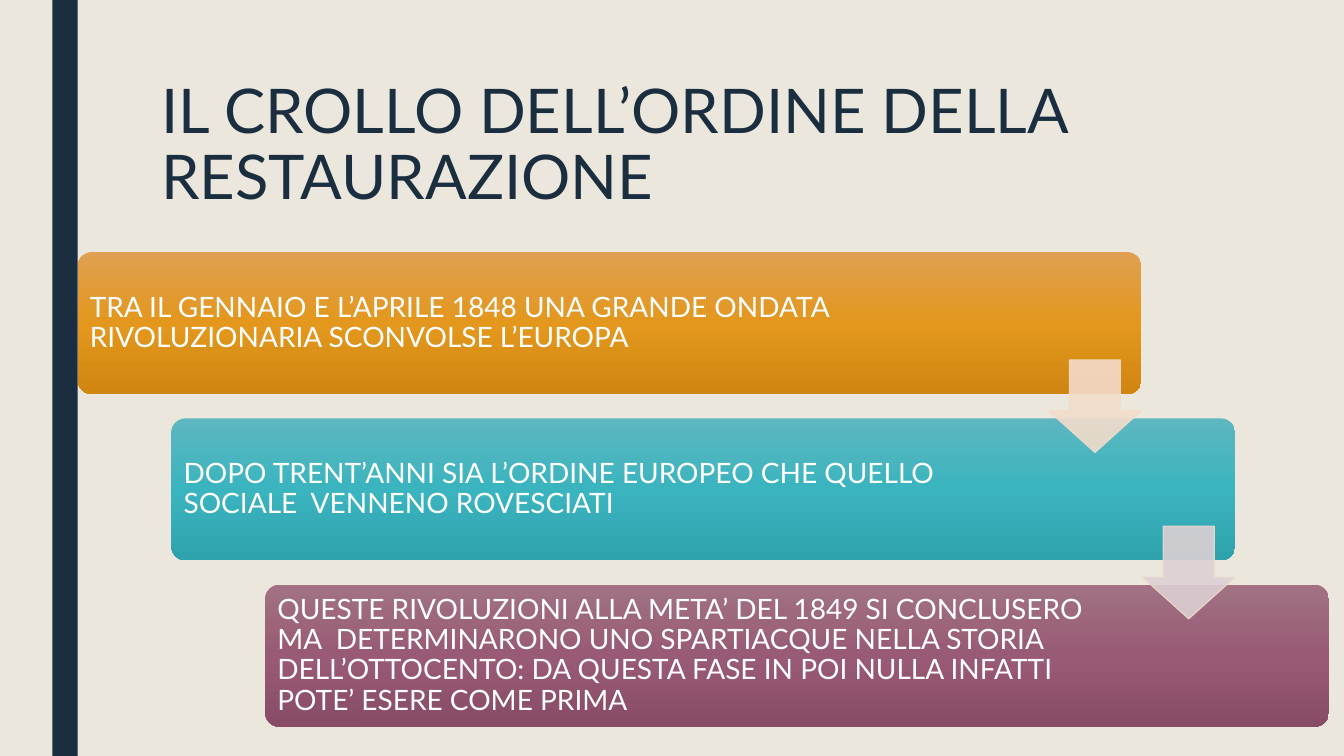
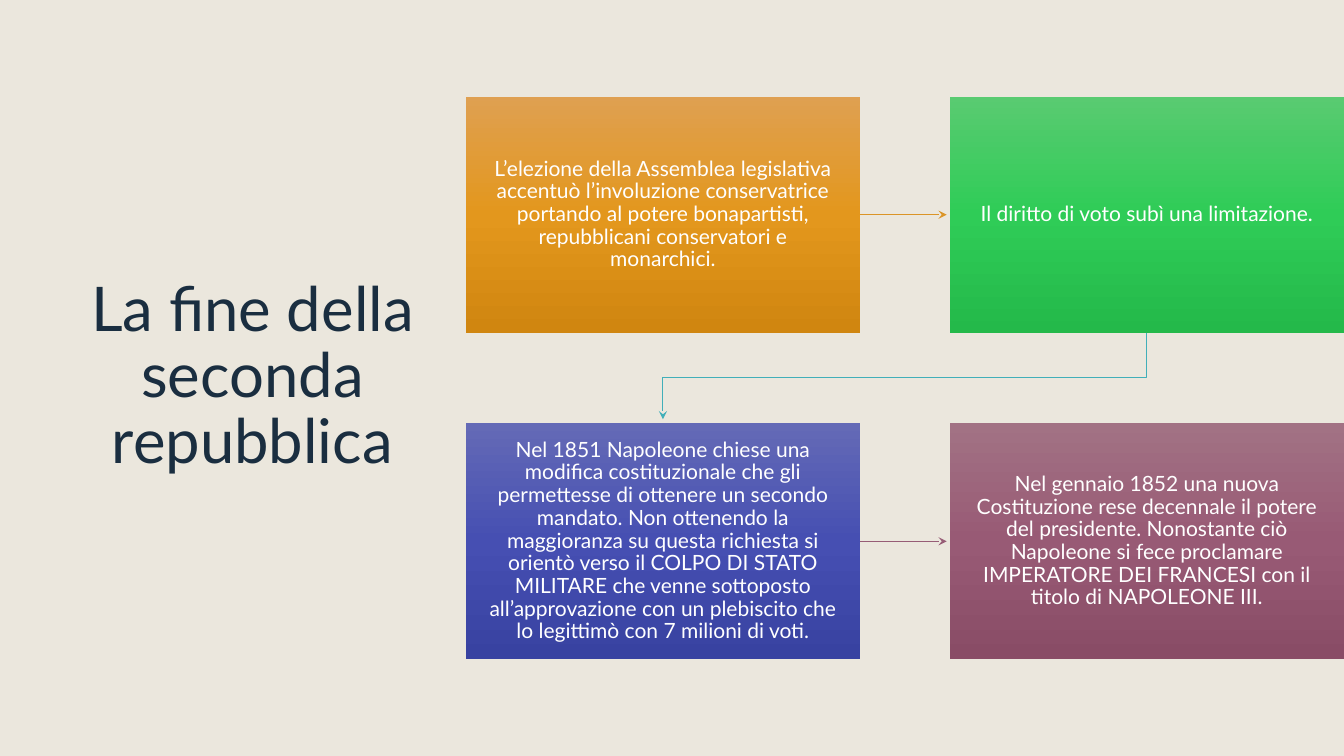
from copy import deepcopy
from lxml import etree
from pptx import Presentation
from pptx.dml.color import RGBColor
from pptx.enum import shapes, text
from pptx.oxml.ns import qn
from pptx.util import Inches, Pt

PAPER, NAVY, WHITE = "EBE7DD", "1A2E40", "FFFFFF"
ORANGE = ("DFA051", "E3971D", "D08610")
TEAL = ("5EB7C0", "3AB4BF", "2EA2AD")
PLUM = ("A27284", "985A75", "894C66")
GREEN = ("59CB71", "2FCC57", "24B94A")
INDIGO = ("646AB6", "464FB2", "3842A1")
LEFT, CENTER = text.PP_ALIGN.LEFT, text.PP_ALIGN.CENTER
TOP, MIDDLE = text.MSO_ANCHOR.TOP, text.MSO_ANCHOR.MIDDLE
ROUNDED, RECT = shapes.MSO_SHAPE.ROUNDED_RECTANGLE, shapes.MSO_SHAPE.RECTANGLE


def rgb(value):
    return RGBColor.from_string(value)


def write(sp, words, size, color, align, anchor, spacing, insets):
    tf = sp.text_frame
    tf.word_wrap = True
    tf.auto_size = text.MSO_AUTO_SIZE.NONE
    tf.vertical_anchor = anchor
    tf.margin_left, tf.margin_top, tf.margin_right, tf.margin_bottom = map(Inches, insets)
    p = tf.paragraphs[0]
    p.alignment = align
    p.line_spacing = spacing
    r = p.add_run()
    r.text = words
    r.font.name = "Lato"
    r.font.size = Pt(size)
    r.font.color.rgb = rgb(color)


prs = Presentation()
prs.slide_width, prs.slide_height = Inches(13.33), Inches(7.5)
background = prs.slide_master.background.fill
background.solid()
background.fore_color.rgb = rgb(PAPER)

titles = [
    ("IL CROLLO DELL’ORDINE DELLA RESTAURAZIONE", (1.5, 0.75, 10.5, 1.62), LEFT, TOP),
    ("La fine della seconda repubblica", (0.7, 0.7, 3.61, 6.1), CENTER, MIDDLE),
]
slides = []
for words, place, align, anchor in titles:
    s = prs.slides.add_slide(prs.slide_layouts[5])
    sp = s.shapes.title
    sp.left, sp.top, sp.width, sp.height = map(Inches, place)
    write(sp, words, 44, NAVY, align, anchor, 0.89, (0.1, 0.05, 0.1, 0.05))
    slides.append(s)
collapse, republic = slides

band = collapse.shapes.add_shape(RECT, Inches(0.52), 0, Inches(0.25), prs.slide_height)
band.shadow.inherit = False
band.fill.solid()
band.fill.fore_color.rgb = rgb(NAVY)
band.line.fill.background()

STEP_X, STEP_Y, STEP_W, STEP_H = 0.77, 2.5, 10.55, 1.41
SHIFT_X, SHIFT_Y = 0.93, 1.65
steps = [
    ("TRA IL GENNAIO E L’APRILE 1848 UNA GRANDE ONDATA RIVOLUZIONARIA SCONVOLSE L’EUROPA",
     ORANGE, 1.52),
    ("DOPO TRENT’ANNI SIA L’ORDINE EUROPEO CHE QUELLO SOCIALE  VENNENO ROVESCIATI",
     TEAL, 1.93),
    ("QUESTE RIVOLUZIONI ALLA META’ DEL 1849 SI CONCLUSERO MA  DETERMINARONO UNO "
     "SPARTIACQUE NELLA STORIA DELL’OTTOCENTO: DA QUESTA FASE IN POI NULLA INFATTI  "
     "POTE’ ESERE COME PRIMA", PLUM, 1.93),
]
CARD_X, CARD_Y, CARD_W, CARD_H = 4.62, 0.96, 3.91, 2.34
PITCH_X, PITCH_Y = 4.8, 3.24
cards = [
    ("L’elezione della Assemblea legislativa accentuò l’involuzione conservatrice portando "
     "al potere bonapartisti, repubblicani conservatori e monarchici.", ORANGE),
    ("Il diritto di voto subì una limitazione.", GREEN),
    ("Nel 1851 Napoleone chiese una modifica costituzionale che gli permettesse di ottenere "
     "un secondo mandato. Non ottenendo la maggioranza su questa richiesta si orientò verso "
     "il COLPO DI STATO MILITARE che venne sottoposto all’approvazione con un plebiscito che "
     "lo legittimò con 7 milioni di voti.", INDIGO),
    ("Nel gennaio 1852 una nuova Costituzione rese decennale il potere del presidente. "
     "Nonostante ciò Napoleone si fece proclamare IMPERATORE DEI FRANCESI con il titolo di "
     "NAPOLEONE III.", PLUM),
]

boxes = []
for i, (words, colors, right) in enumerate(steps):
    place = (STEP_X + i * SHIFT_X, STEP_Y + i * SHIFT_Y, STEP_W, STEP_H)
    boxes.append((collapse, ROUNDED, place, words, colors, 20, LEFT, (0.08, 0.08, right, 0.08)))
for i, (words, colors) in enumerate(cards):
    place = (CARD_X + i % 2 * PITCH_X, CARD_Y + i // 2 * PITCH_Y, CARD_W, CARD_H)
    boxes.append((republic, RECT, place, words, colors, 15, CENTER, (0.19, 0.2, 0.19, 0.2)))

for s, kind, place, words, colors, size, align, insets in boxes:
    sp = s.shapes.add_shape(kind, *map(Inches, place))
    sp.shadow.inherit = False
    sp.line.fill.background()
    if kind == ROUNDED:
        sp.adjustments[0] = 0.1
    sp.fill.gradient()
    sp.fill.gradient_angle = 270
    gs_list = sp._element.spPr.find(".//" + qn("a:gsLst"))
    gs_list.insert(1, deepcopy(gs_list[0]))
    for stop, color, position in zip(sp.fill.gradient_stops, colors, (0, 0.5, 1)):
        stop.color.rgb = rgb(color)
        stop.position = position
    write(sp, words, size, WHITE, align, MIDDLE, 0.9, insets)

ARROW = 0.92
for i, color in enumerate(("F2DCCB", "DCD0D4")):
    x = STEP_X + i * SHIFT_X + STEP_W - ARROW
    y = STEP_Y + i * SHIFT_Y + 1.07
    sp = collapse.shapes.add_shape(shapes.MSO_SHAPE.DOWN_ARROW, *map(Inches, (x, y, ARROW, ARROW)))
    sp.shadow.inherit = False
    sp.adjustments[0], sp.adjustments[1] = 0.55, 0.45
    sp.fill.solid()
    sp.fill.fore_color.rgb = rgb(color)
    sp.line.color.rgb = rgb("F2DCCB")
    sp.line.width = Pt(0.75)
    for clr in sp._element.spPr.iter(qn("a:srgbClr")):
        etree.SubElement(clr, qn("a:alpha")).set("val", "90000")

links = []
for row, color in enumerate(("DB9527", "975D76")):
    x, y = CARD_X + CARD_W, CARD_Y + row * PITCH_Y + CARD_H / 2
    sp = republic.shapes.add_connector(
        shapes.MSO_CONNECTOR.STRAIGHT, *map(Inches, (x, y, x + 0.86, y)))
    links.append((sp, color))

x, y = CARD_X + CARD_W / 2, CARD_Y + CARD_H
bend = [(x + PITCH_X, y), (x + PITCH_X, y + 0.45), (x, y + 0.45), (x, y + 0.86)]
points = [(Inches(a), Inches(b)) for a, b in bend]
builder = republic.shapes.build_freeform(*points[0])
builder.add_line_segments(points[1:], close=False)
sp = builder.convert_to_shape()
sp.fill.background()
links.append((sp, "41AFB9"))

for sp, color in links:
    sp.line.color.rgb = rgb(color)
    sp.line.width = Pt(0.75)
    spPr = sp._element.spPr
    etree.SubElement(spPr.find(qn("a:ln")), qn("a:tailEnd")).set("type", "stealth")
    etree.SubElement(spPr, qn("a:effectLst"))

prs.save("out.pptx")
